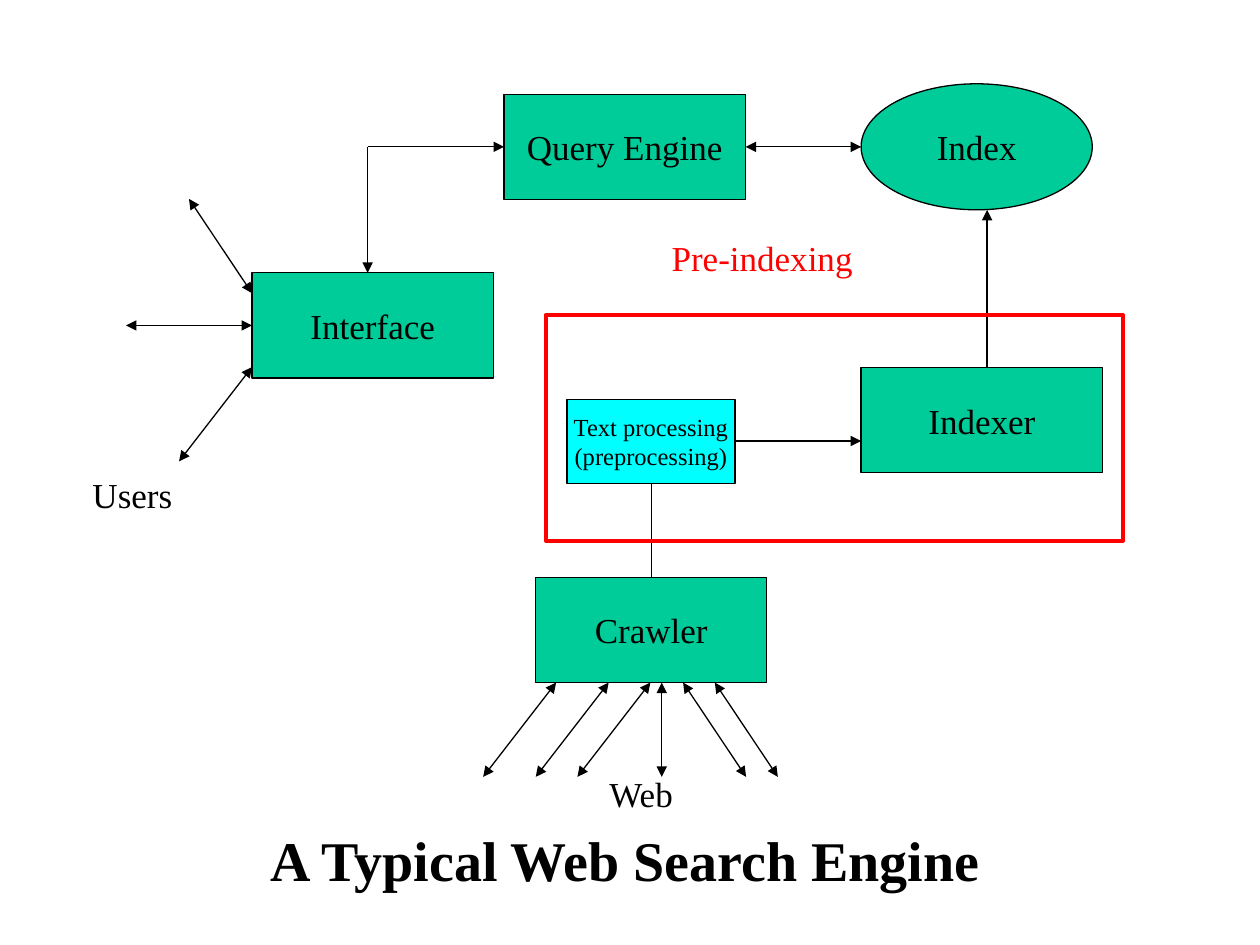
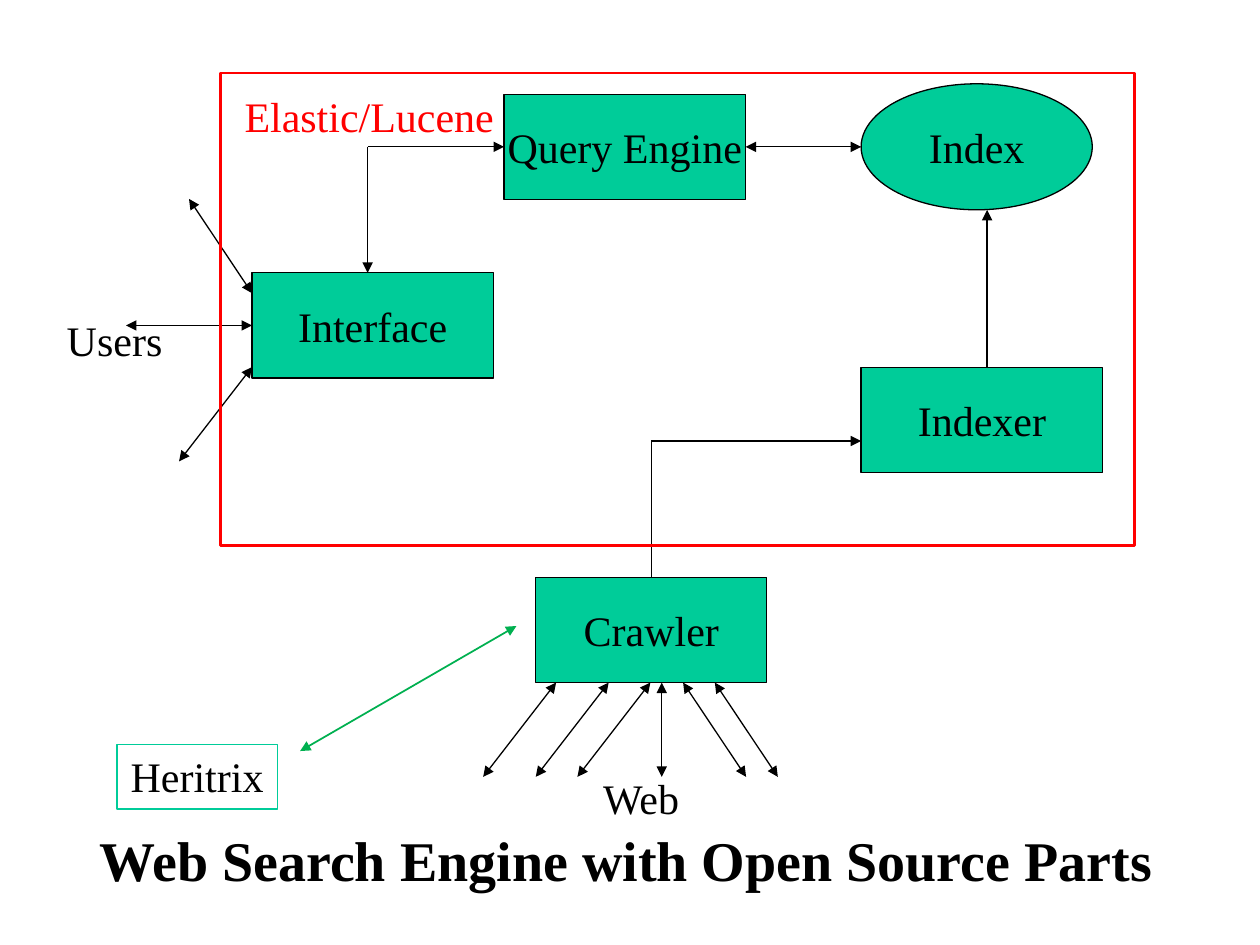
from dataclasses import dataclass

from lxml import etree
from pptx import Presentation
from pptx.dml.color import RGBColor
from pptx.enum.shapes import MSO_CONNECTOR as Connector, MSO_SHAPE as Shape
from pptx.enum.text import MSO_ANCHOR as Anchor, MSO_AUTO_SIZE as AutoSize, PP_ALIGN as Align
from pptx.oxml.ns import qn
from pptx.util import Cm, Pt

FONT = "Times New Roman"
BLACK, RED, GREEN = "000000", "FF0000", "00B050"
TEAL, CYAN = "00CC99", "00FFFF"
TITLE_SIZE = 32
TITLE_ONLY = 5


@dataclass
class Box:
    """A rectangle on the slide, in centimetres."""
    left: float
    top: float
    width: float
    height: float

    @property
    def right(self):
        return self.left + self.width

    @property
    def bottom(self):
        return self.top + self.height

    @property
    def center_x(self):
        return self.left + self.width / 2

    @property
    def center_y(self):
        return self.top + self.height / 2

    def lengths(self):
        return [Cm(value) for value in (self.left, self.top, self.width, self.height)]


INTERFACE = Box(5.08, 5.5, 4.87, 2.12)
QUERY_ENGINE = Box(10.16, 1.9, 4.87, 2.12)
INDEXER = Box(17.36, 7.41, 4.87, 2.12)
INDEX = Box(17.36, 1.69, 4.66, 2.54)
CRAWLER = Box(10.8, 11.64, 4.66, 2.12)


def rgb(color):
    return RGBColor.from_string(color)


def write_text(shape, lines, size, color=BLACK, bold=False, anchor=Anchor.TOP, fit=True):
    frame = shape.text_frame
    frame.word_wrap = False
    frame.auto_size = AutoSize.SHAPE_TO_FIT_TEXT if fit else AutoSize.NONE
    frame.vertical_anchor = anchor
    for number, line in enumerate(lines):
        paragraph = frame.add_paragraph() if number else frame.paragraphs[0]
        paragraph.alignment = Align.CENTER
        run = paragraph.add_run()
        run.text = line
        run.font.name = FONT
        run.font.size = Pt(size)
        run.font.bold = bold
        run.font.color.rgb = rgb(color)


def add_label(slide, box, text, size, color=BLACK):
    write_text(slide.shapes.add_textbox(*box.lengths()), [text], size, color)


def add_outline(slide, box, color, width, kind=Shape.RECTANGLE, fill=None):
    shape = slide.shapes.add_shape(kind, *box.lengths())
    shape.shadow.inherit = False
    shape.line.color.rgb = rgb(color)
    shape.line.width = Pt(width)
    if fill:
        shape.fill.solid()
        shape.fill.fore_color.rgb = rgb(fill)
    else:
        shape.fill.background()
    return shape


def add_node(slide, box, lines, size, kind=Shape.RECTANGLE, fill=TEAL):
    shape = add_outline(slide, box, BLACK, 0.75, kind, fill)
    write_text(shape, lines, size, anchor=Anchor.MIDDLE, fit=False)


def add_line(slide, start, end, ends=("headEnd", "tailEnd"), color=BLACK, width=0.75):
    """Draw a line with a triangle at each of the named ends."""
    points = [Cm(value) for value in (*start, *end)]
    connector = slide.shapes.add_connector(Connector.STRAIGHT, *points)
    connector.line.color.rgb = rgb(color)
    connector.line.width = Pt(width)
    properties = connector.element.spPr
    outline = properties.find(qn("a:ln"))
    for name in ends:
        etree.SubElement(outline, qn(f"a:{name}"), type="triangle")
    etree.SubElement(properties, qn("a:effectLst"))


def draw_crawler(slide, box, size):
    add_node(slide, box, ["Crawler"], size)
    strands = [(0.41, -1.47), (1.47, -1.47), (2.31, -1.47),
               (2.54, 0), (2.97, 1.27), (3.61, 1.27)]
    for offset, lean in strands:
        x = box.left + offset
        add_line(slide, (x, box.bottom), (x + lean, box.bottom + 1.9))
    add_label(slide, Box(box.left + 1.07, box.top + 3.81, 2.11, 1.27), "Web", size)


def draw_interface(slide, box, size, users_offset):
    add_node(slide, box, ["Interface"], size)
    for offset, reach, rise in [(0.41, 1.27, -1.9), (1.06, 2.54, 0), (1.9, 1.47, 1.9)]:
        y = box.top + offset
        add_line(slide, (box.left, y), (box.left - reach, y + rise))
    across, down = users_offset
    add_label(slide, Box(box.left + across, box.top + down, 2.44, 1.27), "Users", size)


def draw_query_engine(slide, box, size):
    """Place the query engine with its links to the interface and the index."""
    add_node(slide, box, ["Query Engine"], size)
    corner = (INTERFACE.left + 2.33, box.center_y)
    add_line(slide, corner, (box.left, box.center_y), ["tailEnd"])
    add_line(slide, corner, (corner[0], INTERFACE.top), ["tailEnd"])
    add_line(slide, (box.right, box.center_y), (INDEX.left, box.center_y))


def draw_indexer(slide, box, size):
    """Place the indexer with its links from the crawler and to the index."""
    add_node(slide, box, ["Indexer"], size)
    corner = (CRAWLER.center_x, box.top + 1.48)
    add_line(slide, (CRAWLER.center_x, CRAWLER.top), corner, [])
    add_line(slide, corner, (box.left, corner[1]), ["tailEnd"])
    x = box.left + 2.54
    add_line(slide, (x, box.top), (x, INDEX.bottom), ["tailEnd"])


def draw_preindexing(slide, box, size):
    processing = Box(box.left + 0.43, box.top + 1.7, 3.39, 1.7)
    add_node(slide, processing, ["Text processing", "(preprocessing)"], 14, fill=CYAN)
    add_outline(slide, box, RED, 2.25)
    add_label(slide, Box(box.left + 1.9, box.top - 1.7, 4.93, 1.3), "Pre-indexing", size, RED)


def draw_search_library(slide, box, size):
    add_label(slide, Box(box.left + 0.2, box.top + 0.23, 5.59, 1.3), "Elastic/Lucene", size, RED)
    add_outline(slide, box, RED, 1.5)


def draw_crawler_library(slide, box, size):
    write_text(add_outline(slide, box, TEAL, 0.75), ["Heritrix"], size, anchor=Anchor.TOP)
    add_line(slide, (CRAWLER.left - 0.39, CRAWLER.top + 0.98),
             (box.right + 0.46, box.top + 0.13), color=GREEN, width=1)


def add_engine_slide(presentation, title, title_box, size, users_offset):
    slide = presentation.slides.add_slide(presentation.slide_layouts[TITLE_ONLY])
    heading = slide.shapes.title
    heading.left, heading.top, heading.width, heading.height = title_box.lengths()
    write_text(heading, [title], TITLE_SIZE, bold=True)
    draw_interface(slide, INTERFACE, size, users_offset)
    add_node(slide, INDEX, ["Index"], size, Shape.OVAL)
    draw_query_engine(slide, QUERY_ENGINE, size)
    draw_indexer(slide, INDEXER, size)
    draw_crawler(slide, CRAWLER, size)
    return slide


def main():
    presentation = Presentation()
    presentation.slide_width, presentation.slide_height = Cm(25.4), Cm(19.05)

    typical = add_engine_slide(presentation, "A Typical Web Search Engine",
                               Box(5.08, 16.51, 15.06, 1.6), 20, (-3.63, 3.92))
    draw_preindexing(typical, Box(11, 6.35, 11.64, 4.55), 20)

    open_source = add_engine_slide(presentation, "Web Search Engine with Open Source Parts",
                                   Box(1.65, 16.51, 21.95, 1.6), 24, (-3.99, 0.72))
    draw_search_library(open_source, Box(4.45, 1.47, 18.42, 9.53), 24)
    draw_crawler_library(open_source, Box(2.36, 15.01, 3.23, 1.3), 24)

    presentation.save("out.pptx")


if __name__ == "__main__":
    main()
